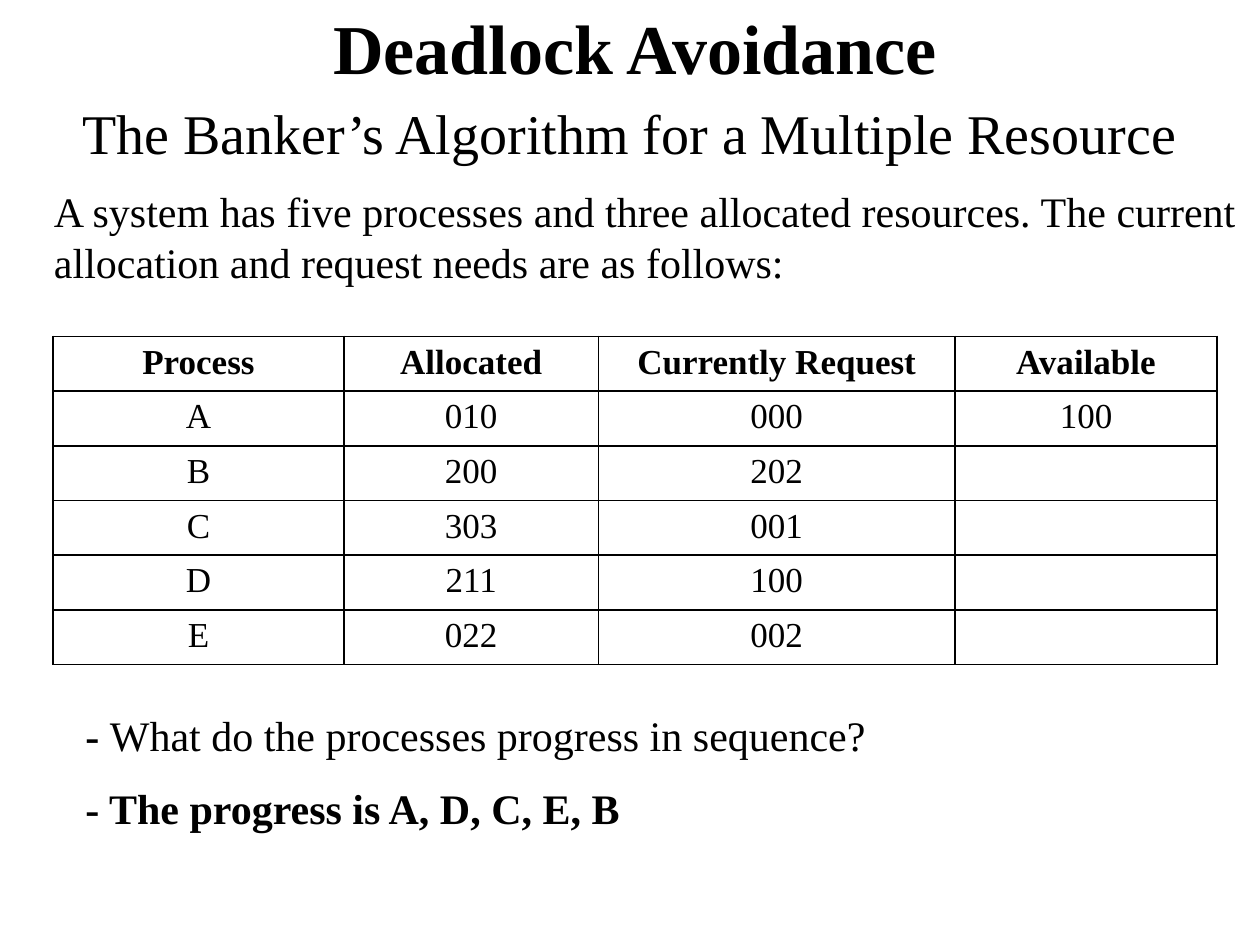
import lxml.etree
import pptx
import pptx.dml.color
import pptx.enum.text
import pptx.oxml.ns
import pptx.util

FONT = "Times New Roman"
BLACK = "000000"
WHITE = "FFFFFF"
Inches = pptx.util.Inches
Pt = pptx.util.Pt
ALIGN = pptx.enum.text.PP_ALIGN


def color(hex_string):
    """Turn a hex string into a colour."""
    return pptx.dml.color.RGBColor.from_string(hex_string)


def format_run(run, size, bold=False):
    """Set the font of a run."""
    run.font.name = FONT
    run.font.size = Pt(size)
    run.font.bold = bold
    run.font.color.rgb = color(BLACK)


def add_run(paragraph, text, size, bold=False):
    """Append a formatted run to a paragraph."""
    run = paragraph.add_run()
    run.text = text
    format_run(run, size, bold)


def place_title(slide, left, top, width, height):
    """Fill and place the two-line title."""
    title = slide.shapes.title
    title.left, title.top = Inches(left), Inches(top)
    title.width, title.height = Inches(width), Inches(height)
    frame = title.text_frame
    frame.auto_size = pptx.enum.text.MSO_AUTO_SIZE.NONE
    frame.vertical_anchor = pptx.enum.text.MSO_ANCHOR.MIDDLE
    paragraph = frame.paragraphs[0]
    paragraph.alignment = ALIGN.CENTER
    add_run(paragraph, " ", 66, True)
    add_run(paragraph, "Deadlock Avoidance", 40, True)
    add_run(paragraph, " ", 44, True)
    paragraph.add_line_break()
    add_run(paragraph, "The Banker’s Algorithm for a Multiple Resource", 32)


def add_text(slide, left, top, width, height, paragraphs, alignment, space_before=0):
    """Add a text box whose paragraphs are lists of text and bold pairs."""
    box = slide.shapes.add_textbox(Inches(left), Inches(top), Inches(width), Inches(height))
    frame = box.text_frame
    frame.word_wrap = True
    for index, parts in enumerate(paragraphs):
        paragraph = frame.add_paragraph() if index else frame.paragraphs[0]
        paragraph.alignment = alignment
        paragraph.line_spacing = Pt(29.2)
        paragraph.space_before = Pt(space_before if index else 0)
        for text, bold in parts:
            add_run(paragraph, text, 24, bold)


def add_borders(cell):
    """Draw a thin line on each side of a cell."""
    properties = cell._tc.get_or_add_tcPr()
    for index, side in enumerate(("lnL", "lnR", "lnT", "lnB")):
        line = lxml.etree.Element(pptx.oxml.ns.qn(f"a:{side}"), w=str(Pt(1)))
        fill = lxml.etree.SubElement(line, pptx.oxml.ns.qn("a:solidFill"))
        lxml.etree.SubElement(fill, pptx.oxml.ns.qn("a:srgbClr"), val=BLACK)
        properties.insert(index, line)


def add_allocation_table(slide, left, top, row_height, column_widths, rows):
    """Add the table of processes and their resources."""
    table = slide.shapes.add_table(
        len(rows), len(column_widths), Inches(left), Inches(top),
        Inches(sum(column_widths)), Inches(row_height * len(rows))).table
    for column, width in zip(table.columns, column_widths):
        column.width = Inches(width)
    for row_index, values in enumerate(rows):
        table.rows[row_index].height = Inches(row_height)
        for column_index, value in enumerate(values):
            cell = table.cell(row_index, column_index)
            cell.fill.solid()
            cell.fill.fore_color.rgb = color(WHITE)
            add_borders(cell)
            if value:
                paragraph = cell.text_frame.paragraphs[0]
                paragraph.alignment = ALIGN.CENTER
                add_run(paragraph, value, 20, row_index == 0)


def build_slide(presentation):
    """Build the deadlock avoidance slide."""
    slide = presentation.slides.add_slide(presentation.slide_layouts[5])
    place_title(slide, 0, 0.08, 10, 0.83)
    add_text(slide, 0.58, 5.58, 8.83, 1.11, [
        [("- ", True), ("What do the processes progress in sequence?", False)],
        [("- The progress is A, D, C, E, B", True)],
    ], ALIGN.LEFT, 12)
    add_text(slide, 0.33, 1.42, 9.58, 0.91, [
        [("A system has five processes and three allocated resources. "
          "The current allocation and request needs are as follows:", False)],
    ], ALIGN.JUSTIFY)
    add_allocation_table(slide, 0.42, 2.67, 0.43, [2.31, 2.02, 2.83, 2.08], [
        ["Process", "Allocated", "Currently Request", "Available"],
        ["A", "010", "000", "100"],
        ["B", "200", "202", ""],
        ["C", "303", "001", ""],
        ["D", "211", "100", ""],
        ["E", "022", "002", ""],
    ])


presentation = pptx.Presentation()
presentation.slide_width, presentation.slide_height = Inches(10), Inches(7.5)
build_slide(presentation)
presentation.save("out.pptx")
